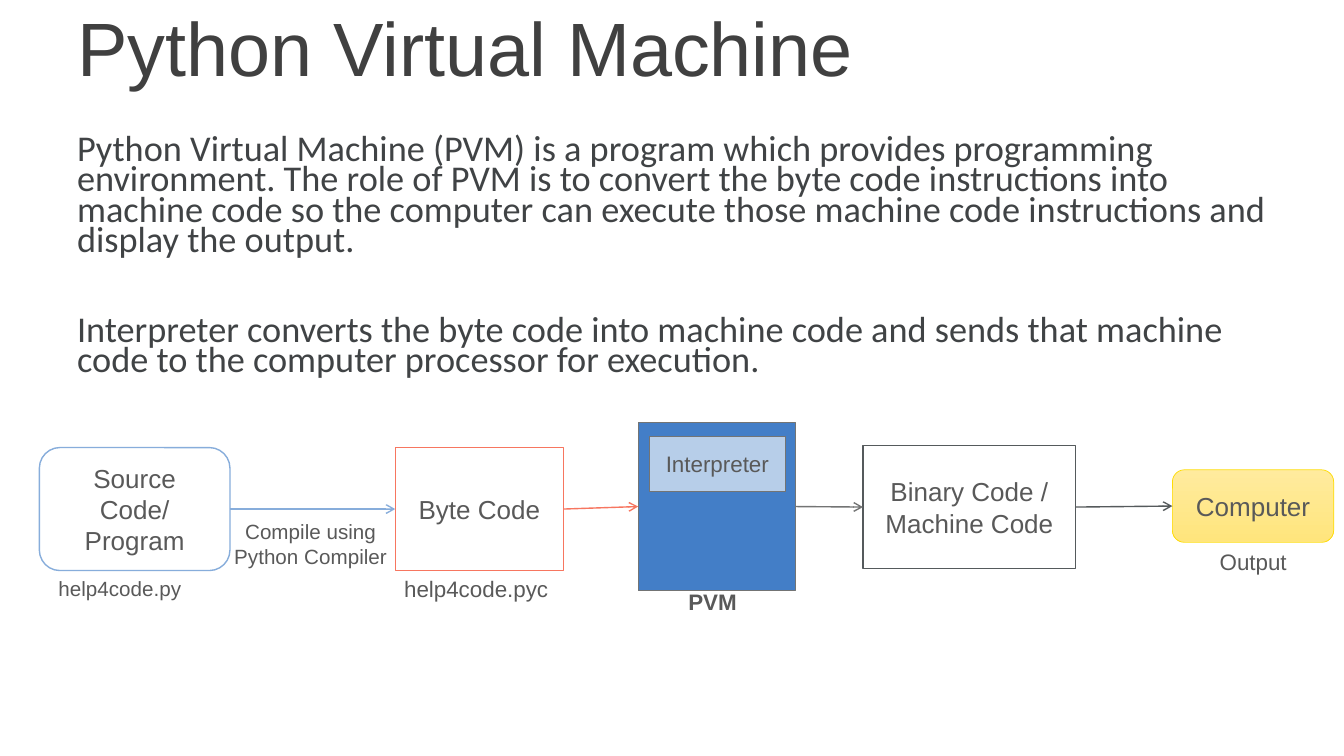
"""Build the Python Virtual Machine slide."""
from lxml import etree
from pptx import Presentation
from pptx.dml.color import RGBColor
from pptx.enum.shapes import MSO_CONNECTOR, MSO_SHAPE
from pptx.enum.text import MSO_ANCHOR, MSO_AUTO_SIZE, PP_ALIGN
from pptx.oxml.ns import qn
from pptx.util import Inches, Pt

RECTANGLE, ROUNDED = MSO_SHAPE.RECTANGLE, MSO_SHAPE.ROUNDED_RECTANGLE
STRAIGHT = MSO_CONNECTOR.STRAIGHT
LEFT, CENTER = PP_ALIGN.LEFT, PP_ALIGN.CENTER
TOP, MIDDLE = MSO_ANCHOR.TOP, MSO_ANCHOR.MIDDLE
FIT_SHAPE = MSO_AUTO_SIZE.SHAPE_TO_FIT_TEXT
LEFT_SIDE, RIGHT_SIDE = 1, 3
WIDTH, HEIGHT = Inches(13.33), Inches(7.5)

COLORS = {
    "title": "404040", "body": "404345", "label": "595959",
    "white": "FFFFFF", "source": "87ADDB", "byte": "F77660",
    "machine": "437EC7", "interpreter": "B7CEE9", "edge": "737474",
    "binary": "555A5C", "computer": "FEDC04",
    "yellow_top": "FFEB9E", "yellow_bottom": "FFE57C",
}
TITLE_BOX = (5, 0.8, 90, 16.67)
BODY_BOX = (5, 17.47, 90, 35.6)
FLOW_BOX = (2.93, 55.87, 96.3, 26.27)

TITLE = "Python Virtual Machine"
BODY = [
    "Python Virtual Machine (PVM) is a program which provides programming "
    "environment. The role of PVM is to convert the byte code instructions into "
    "machine code so the computer can execute those machine code instructions "
    "and display the output.",
    "Interpreter converts the byte code into machine code and sends that machine "
    "code to the computer processor for execution.",
]
STEPS = [
    ("source", "Source Code/ Program", (0, 3.33, 14.18, 16.27),
     dict(kind=ROUNDED, fill="white", line="source")),
    ("byte", "Byte Code", (26.48, 3.33, 12.53, 16.27),
     dict(fill="white", line="byte")),
    ("machine", "", (44.55, 0, 11.7, 22.27),
     dict(fill="machine", line="edge", weight=0.5)),
    ("interpreter", "Interpreter", (45.38, 1.87, 10.13, 7.2),
     dict(fill="interpreter", line="edge", weight=0.5, size=16)),
    ("binary", "Binary Code / Machine Code", (61.28, 3.07, 15.83, 16.27),
     dict(fill="white", line="binary")),
    ("computer", "Computer", (84.3, 6.27, 12, 9.6),
     dict(kind=ROUNDED, line="computer", weight=0.5)),
]
ARROWS = [
    ("source", "byte", "source"), ("byte", "machine", "byte"),
    ("machine", "binary", "edge"), ("binary", "computer", "binary"),
]
LABELS = [
    (["help4code.py"], (0.68, 19.6, 10.65, 4.67), dict(size=14.7)),
    (["Compile using", "Python Compiler"], (13.73, 12.13, 12.9, 7.87),
     dict(size=14.7, align=CENTER)),
    (["help4code.pyc"], (26.4, 19.6, 12.38, 4.93), dict(size=16)),
    (["Output"], (87.08, 16, 6.6, 4.93), dict(size=16)),
    (["PVM"], (47.55, 21.33, 5.18, 4.93), dict(size=16, bold=True)),
]


def rgb(name):
    """Return the named colour."""
    return RGBColor.from_string(COLORS[name])


def place(box, share):
    """Turn percentages of the slide, offset by a box, into lengths."""
    left, top, width, height = share
    return (int(WIDTH * (box[0] + left) / 100), int(HEIGHT * (box[1] + top) / 100),
            int(WIDTH * width / 100), int(HEIGHT * height / 100))


def write(shape, lines, size=18.6, font="Arial", color="label", bold=False,
          align=LEFT, anchor=TOP, wrap=True, spacing=1.0, gap=0):
    """Write one paragraph per line into a shape."""
    frame = shape.text_frame
    frame.word_wrap = wrap
    frame.vertical_anchor = anchor
    for index, line in enumerate(lines):
        paragraph = frame.add_paragraph() if index else frame.paragraphs[0]
        paragraph.alignment = align
        paragraph.line_spacing = spacing
        if index:
            paragraph.space_before = Pt(gap)
        run = paragraph.add_run()
        run.text = line
        run.font.size = Pt(size)
        run.font.name = font
        run.font.bold = bold
        run.font.color.rgb = rgb(color)


def add_text(slide, box, share, lines, **text_format):
    """Add a text box inside a region."""
    shape = slide.shapes.add_textbox(*place(box, share))
    write(shape, lines, **text_format)
    return shape


def add_step(slide, box, share, text, kind=RECTANGLE, fill=None, line="edge",
             weight=1, size=18.6):
    """Add one box of the flow, with a yellow gradient if no fill is named."""
    shape = slide.shapes.add_shape(kind, *place(box, share))
    shape.shadow.inherit = False
    if fill:
        shape.fill.solid()
        shape.fill.fore_color.rgb = rgb(fill)
    else:
        shape.fill.gradient()
        shape.fill.gradient_angle = 270
        for stop, name in zip(shape.fill.gradient_stops, ("yellow_top", "yellow_bottom")):
            stop.color.rgb = rgb(name)
    shape.line.color.rgb = rgb(line)
    shape.line.width = Pt(weight)
    if text:
        frame = shape.text_frame
        frame.margin_left = frame.margin_right = Inches(0.12)
        write(shape, [text], size=size, align=CENTER, anchor=MIDDLE)
    return shape


def add_arrow(slide, start, end, color):
    """Join the facing sides of two steps with an arrow."""
    connector = slide.shapes.add_connector(STRAIGHT, 0, 0, 0, 0)
    connector.begin_connect(start, RIGHT_SIDE)
    connector.end_connect(end, LEFT_SIDE)
    connector.line.color.rgb = rgb(color)
    connector.line.width = Pt(1)
    etree.SubElement(connector.line._get_or_add_ln(), qn("a:tailEnd"), type="arrow")
    etree.SubElement(connector._element.spPr, qn("a:effectLst"))


def add_heading(slide, box):
    """Add the title."""
    add_text(slide, box, (0, 0, *box[2:]), [TITLE], size=54, color="title", spacing=0.9)


def add_body(slide, box):
    """Add the explanatory paragraphs."""
    add_text(slide, box, (0, 0, *box[2:]), BODY, size=25.9, font="Calibri",
             color="body", spacing=0.7, gap=42)


def add_flow(slide, box):
    """Add the steps from source code to computer, with arrows and labels."""
    steps = {name: add_step(slide, box, share, text, **look)
             for name, text, share, look in STEPS}
    for start, end, color in ARROWS:
        add_arrow(slide, steps[start], steps[end], color)
    for lines, share, look in LABELS:
        label = add_text(slide, box, share, lines, wrap=False, **look)
        label.text_frame.auto_size = FIT_SHAPE


def main():
    """Build and save the presentation."""
    presentation = Presentation()
    presentation.slide_width, presentation.slide_height = WIDTH, HEIGHT
    slide = presentation.slides.add_slide(presentation.slide_layouts[6])
    add_heading(slide, TITLE_BOX)
    add_body(slide, BODY_BOX)
    add_flow(slide, FLOW_BOX)
    presentation.save("out.pptx")


if __name__ == "__main__":
    main()
